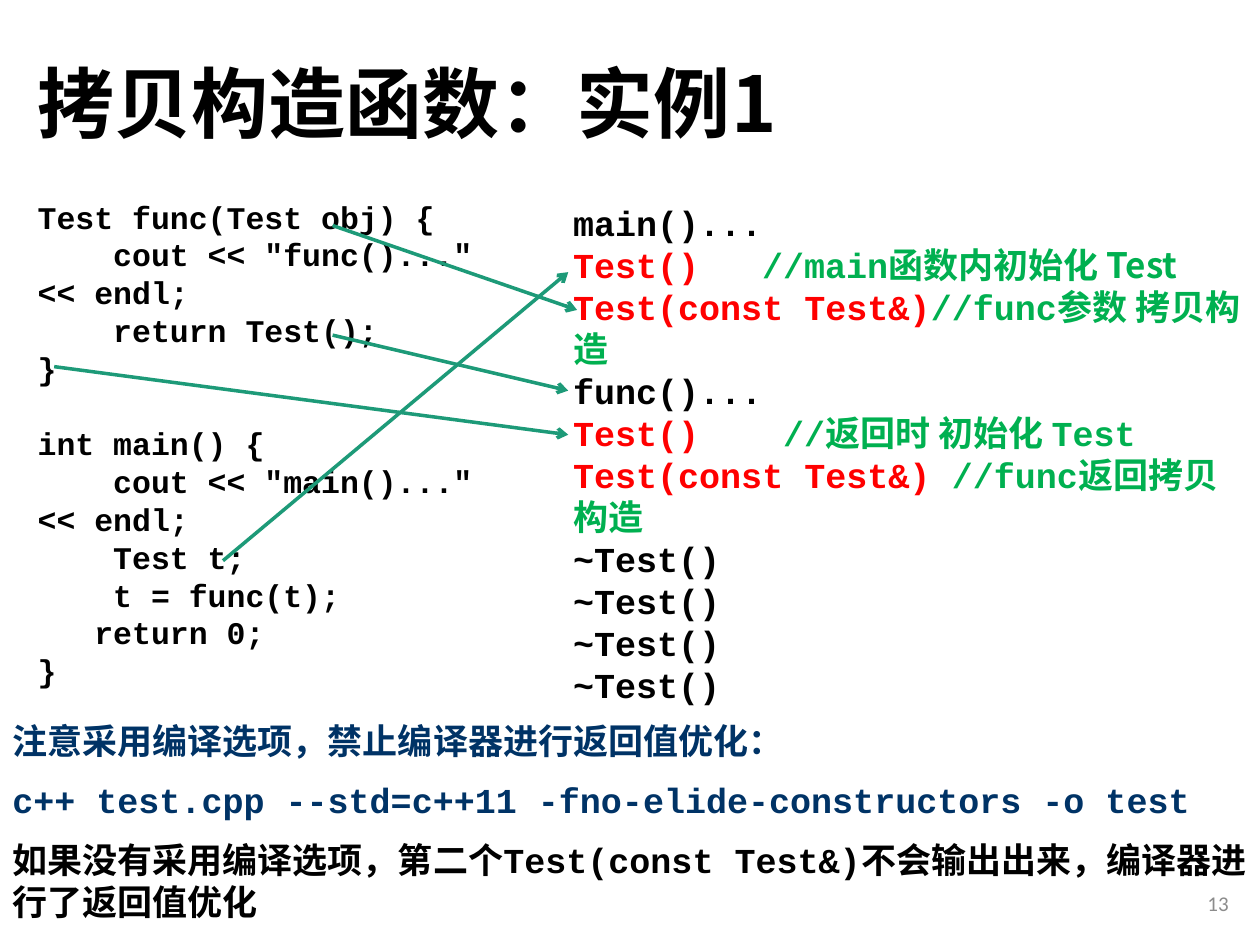
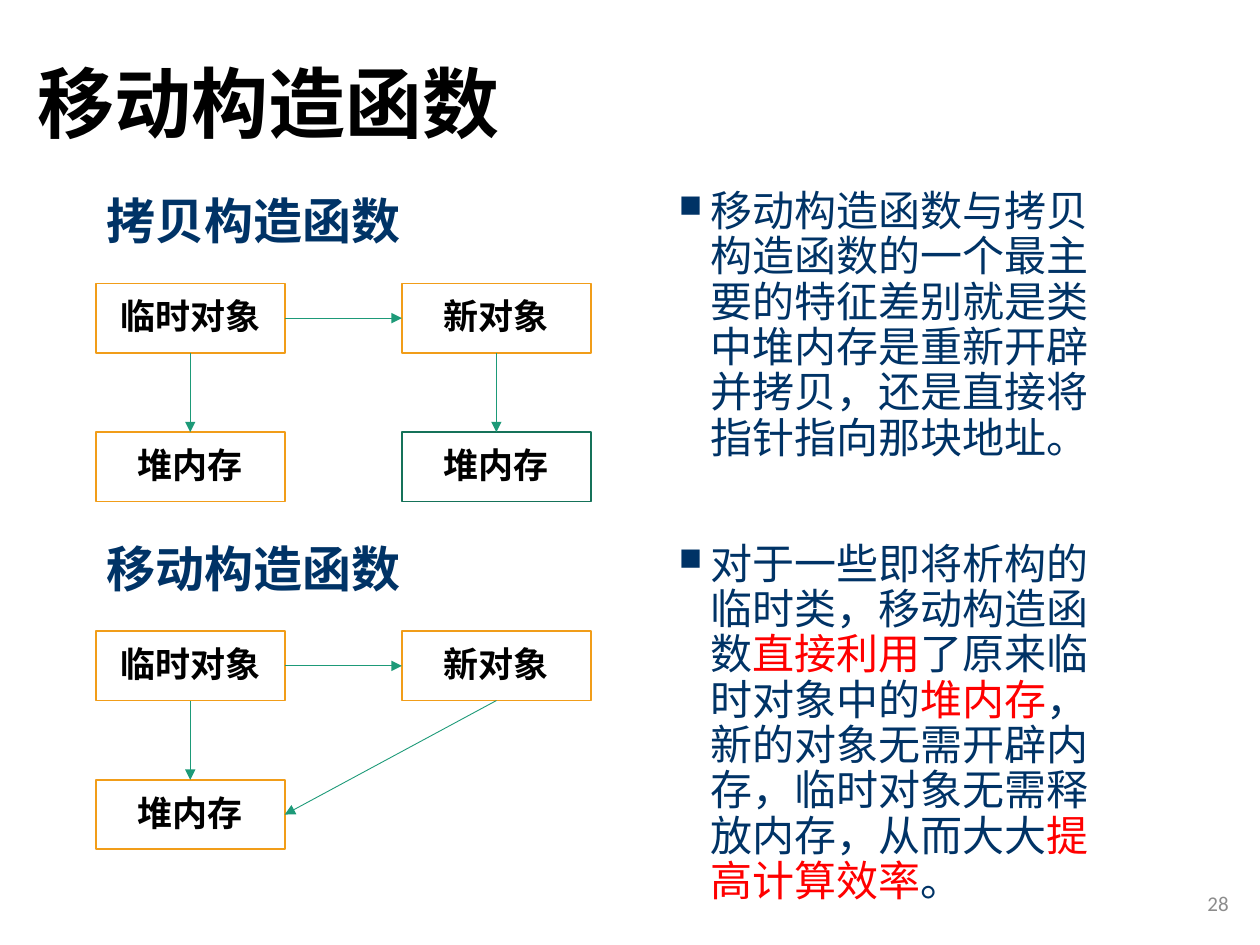
import pptx
import pptx.dml.color
import pptx.enum.shapes
import pptx.enum.text
import pptx.oxml.ns
import pptx.util
import lxml.etree

RGB = pptx.dml.color.RGBColor
Pt = pptx.util.Pt
ALIGN = pptx.enum.text.PP_ALIGN
ANCHOR = pptx.enum.text.MSO_ANCHOR
qn = pptx.oxml.ns.qn

BLACK = RGB(0, 0, 0)
WHITE = RGB(255, 255, 255)
NAVY = RGB(0x00, 0x33, 0x66)
RED = RGB(0xFF, 0, 0)
GREEN = RGB(0x00, 0xB0, 0x50)
GREY = RGB(0x8C, 0x8C, 0x8C)
TEAL = RGB(0x1D, 0x9A, 0x78)
DARK_TEAL = RGB(0x15, 0x72, 0x59)
ORANGE = RGB(0xF1, 0x9D, 0x19)

CJK = "Noto Sans CJK SC"
CODE = "Courier New"
SANS = "Calibri"

WIDTH, HEIGHT = pptx.util.Inches(10), pptx.util.Inches(7.5)
COLS, ROWS = 100, 75
NODE_W, NODE_H = 15, 5.5


def col(n):
    return round(WIDTH * n / COLS)


def row(n):
    return round(HEIGHT * n / ROWS)


def child(parent, tag, **attrs):
    return lxml.etree.SubElement(parent, qn(tag), attrs)


def add_run(p, text, size, font=CJK, color=BLACK, bold=False):
    r = p.add_run()
    r.text = text
    r.font.size = Pt(size)
    r.font.name = font
    r.font.bold = bold
    r.font.color.rgb = color
    child(r._r.get_or_add_rPr(), "a:ea", typeface=CJK)


def add_box(s, x, y, w, h, anchor=ANCHOR.TOP):
    sp = s.shapes.add_textbox(col(x), row(y), col(w), row(h))
    tf = sp.text_frame
    tf.word_wrap = True
    tf.vertical_anchor = anchor
    return tf


def next_paragraph(tf):
    first = tf.paragraphs[0]
    return tf.add_paragraph() if first.runs else first


def add_title(s, text):
    p = add_box(s, 2, 1.3, 86.2, 14.5, ANCHOR.MIDDLE).paragraphs[0]
    p.line_spacing = 0.9
    add_run(p, text, 44, bold=True)


def add_number(s, number):
    p = add_box(s, 76, 69.7, 22.5, 4, ANCHOR.MIDDLE).paragraphs[0]
    p.alignment = ALIGN.RIGHT
    add_run(p, str(number), 12, SANS, GREY)


def add_slide(prs, title, number):
    s = prs.slides.add_slide(prs.slide_layouts[6])
    add_title(s, title)
    add_number(s, number)
    return s


def add_arrow(shapes, start, end, width, head):
    cx = shapes.add_connector(
        pptx.enum.shapes.MSO_CONNECTOR.STRAIGHT,
        col(start[0]), row(start[1]), col(end[0]), row(end[1]))
    cx.line.color.rgb = TEAL
    cx.line.width = Pt(width)
    child(cx.line._get_or_add_ln(), "a:tailEnd", type=head)
    child(cx._element.spPr, "a:effectLst")


def add_code(s):
    tf = add_box(s, 2, 15.2, 38.2, 40.4)
    lines = [
        (0, "Test func(Test obj) {"),
        (4, 'cout << "func()..." << endl;'),
        (4, "return Test();"),
        (0, "}"),
        (0, "int main() {"),
        (4, 'cout << "main()..." << endl;'),
        (4, "Test t;"),
        (4, "t = func(t);"),
        (3, "return 0;"),
        (0, "}"),
    ]
    size = 18
    for chars, text in lines:
        p = next_paragraph(tf)
        p._p.get_or_add_pPr().set("indent", str(Pt(chars * size * 0.6)))
        if text.startswith("int main"):
            p.space_before = Pt(size * 1.2)
        add_run(p, text, size, CODE, bold=True)


def add_output(s):
    tf = add_box(s, 44.5, 15.5, 55.5, 34.7)
    lines = [
        [("main()...", CODE, BLACK)],
        [("Test()\t", CODE, RED), ("//main", CODE, GREEN),
         ("函数内初始化 Test", CJK, GREEN)],
        [("Test(const Test&)", CODE, RED), ("//func", CODE, GREEN),
         ("参数 拷贝构造", CJK, GREEN)],
        [("func()...", CODE, BLACK)],
        [("Test()\t ", CODE, RED), ("//", CODE, GREEN),
         ("返回时 初始化 ", CJK, GREEN), ("Test", CODE, GREEN)],
        [("Test(const Test&) ", CODE, RED), ("//func", CODE, GREEN),
         ("返回拷贝构造", CJK, GREEN)],
    ] + [[("~Test()", CODE, BLACK)]] * 4
    for runs in lines:
        p = next_paragraph(tf)
        tabs = child(p._p.get_or_add_pPr(), "a:tabLst")
        child(tabs, "a:tab", pos=str(col(15)), algn="l")
        for text, font, color in runs:
            add_run(p, text, 20, font, color, True)


def add_notice(s):
    tf = add_box(s, 0, 56.6, 100, 17.1)
    for text, color in [
        ("注意采用编译选项，禁止编译器进行返回值优化：", NAVY),
        ("c++ test.cpp --std=c++11 -fno-elide-constructors -o test", NAVY),
        ("如果没有采用编译选项，第二个Test(const Test&)不会输出出来，"
         "编译器进行了返回值优化", BLACK),
    ]:
        p = next_paragraph(tf)
        p.space_before = Pt(10)
        add_run(p, text, 20, CODE, color, True)


def add_node(group, x, y, text, outline=ORANGE):
    sp = group.shapes.add_shape(
        pptx.enum.shapes.MSO_SHAPE.RECTANGLE,
        col(x), row(y), col(NODE_W), row(NODE_H))
    sp.shadow.inherit = False
    sp.fill.solid()
    sp.fill.fore_color.rgb = WHITE
    sp.line.color.rgb = outline
    sp.line.width = Pt(1)
    tf = sp.text_frame
    tf.margin_top, tf.margin_bottom = 0, row(0.4)
    tf.vertical_anchor = ANCHOR.MIDDLE
    p = tf.paragraphs[0]
    p.alignment = ALIGN.CENTER
    add_run(p, text, 20, bold=True)


def add_diagram(s, top, heading, own_heap):
    left, right, heap = 7.6, 31.9, top + 11.8
    add_run(add_box(s, 7.5, top - 7.85, 28.2, 5.7).paragraphs[0],
            heading, 28, color=NAVY, bold=True)
    group = s.shapes.add_group_shape()
    add_node(group, left, top, "临时对象")
    add_node(group, right, top, "新对象")
    add_node(group, left, heap, "堆内存")
    middle, below = top + NODE_H / 2, top + NODE_H
    left_mid, right_mid = left + NODE_W / 2, right + NODE_W / 2
    target = (left + NODE_W, heap + NODE_H / 2)
    if own_heap:
        add_node(group, right, heap, "堆内存", DARK_TEAL)
        target = (right_mid, heap)
    for start, end in [
        ((left + NODE_W, middle), (right, middle)),
        ((left_mid, below), (left_mid, heap)),
        ((right_mid, below), target),
    ]:
        add_arrow(group.shapes, start, end, 0.5, "triangle")


def add_bullets(s):
    tf = add_box(s, 52.9, 14.6, 36.8, 42.5)
    bullets = [
        (10, [("移动构造函数与拷贝构造函数的一个最主要的特征差别就是类中堆内存是"
               "重新开辟并拷贝，还是直接将指针指向那块地址。", NAVY)]),
        (46, [("对于一些即将析构的临时类，移动构造函数", NAVY),
              ("直接利用", RED),
              ("了原来临时对象中的", NAVY),
              ("堆内存", RED),
              ("，新的对象无需开辟内存，临时对象无需释放内存，从而大大", NAVY),
              ("提高计算效率", RED),
              ("。", NAVY)]),
    ]
    for gap, runs in bullets:
        p = next_paragraph(tf)
        p.line_spacing = 0.9
        p.space_before = Pt(gap)
        pPr = p._p.get_or_add_pPr()
        pPr.set("marL", str(col(2.5)))
        pPr.set("indent", str(-col(2.5)))
        child(pPr, "a:buSzPct", val="75000")
        child(pPr, "a:buChar", char="■")
        for text, color in runs:
            add_run(p, text, 24, color=color)


def build_copy_example(prs):
    s = add_slide(prs, "拷贝构造函数：实例1", 13)
    add_output(s)
    add_code(s)
    for start, end in [
        ((17.7, 44.5), (45.1, 21.6)),
        ((26.4, 17.9), (45.8, 24.6)),
        ((26.4, 26.6), (45.1, 31)),
        ((4.3, 29.1), (45.1, 34.5)),
    ]:
        add_arrow(s.shapes, start, end, 2, "arrow")
    add_notice(s)


def build_move_constructor(prs):
    s = add_slide(prs, "移动构造函数", 28)
    add_diagram(s, 22.5, "拷贝构造函数", True)
    add_diagram(s, 50.1, "移动构造函数", False)
    add_bullets(s)


def main():
    prs = pptx.Presentation()
    prs.slide_width, prs.slide_height = WIDTH, HEIGHT
    build_copy_example(prs)
    build_move_constructor(prs)
    prs.save("out.pptx")


main()
